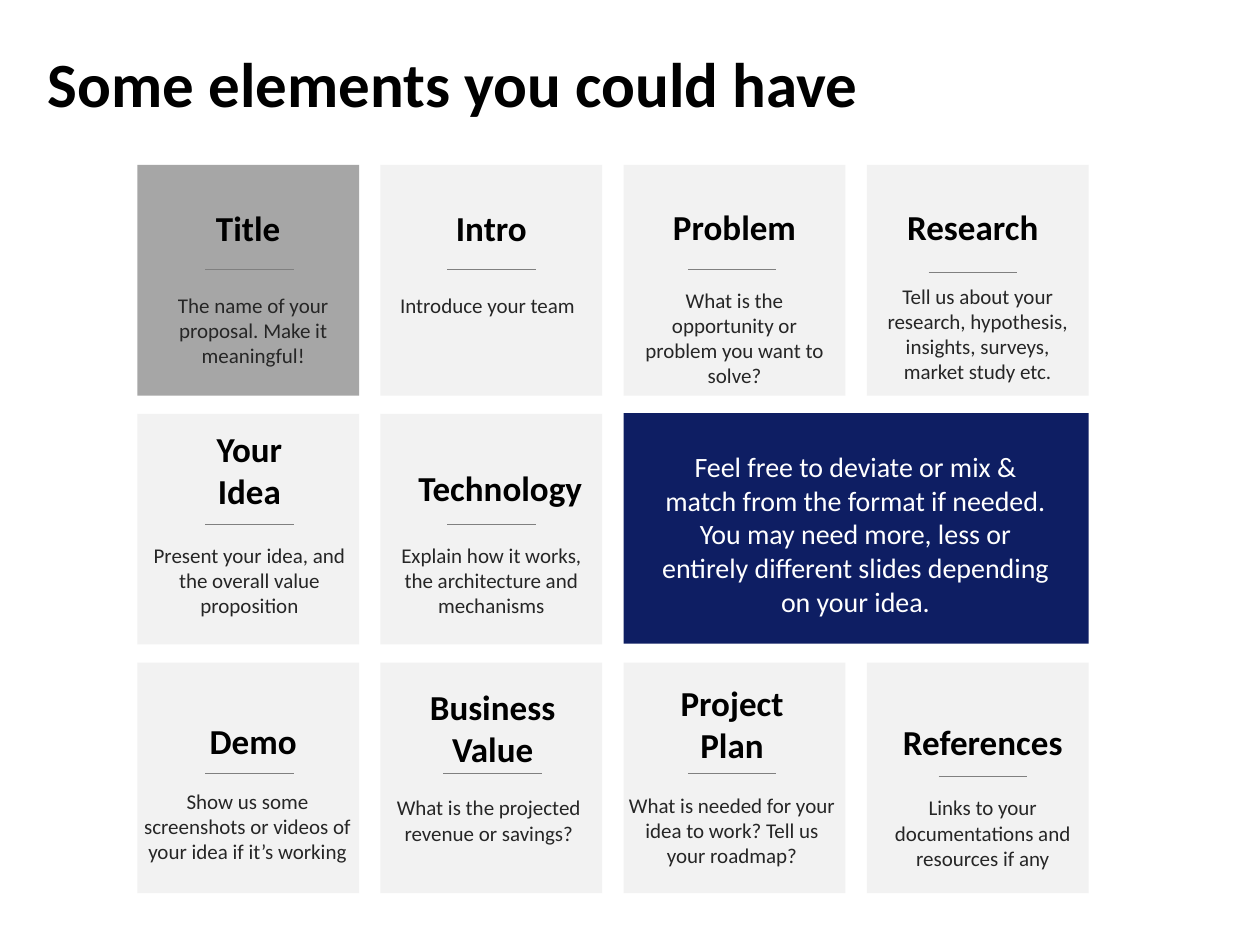
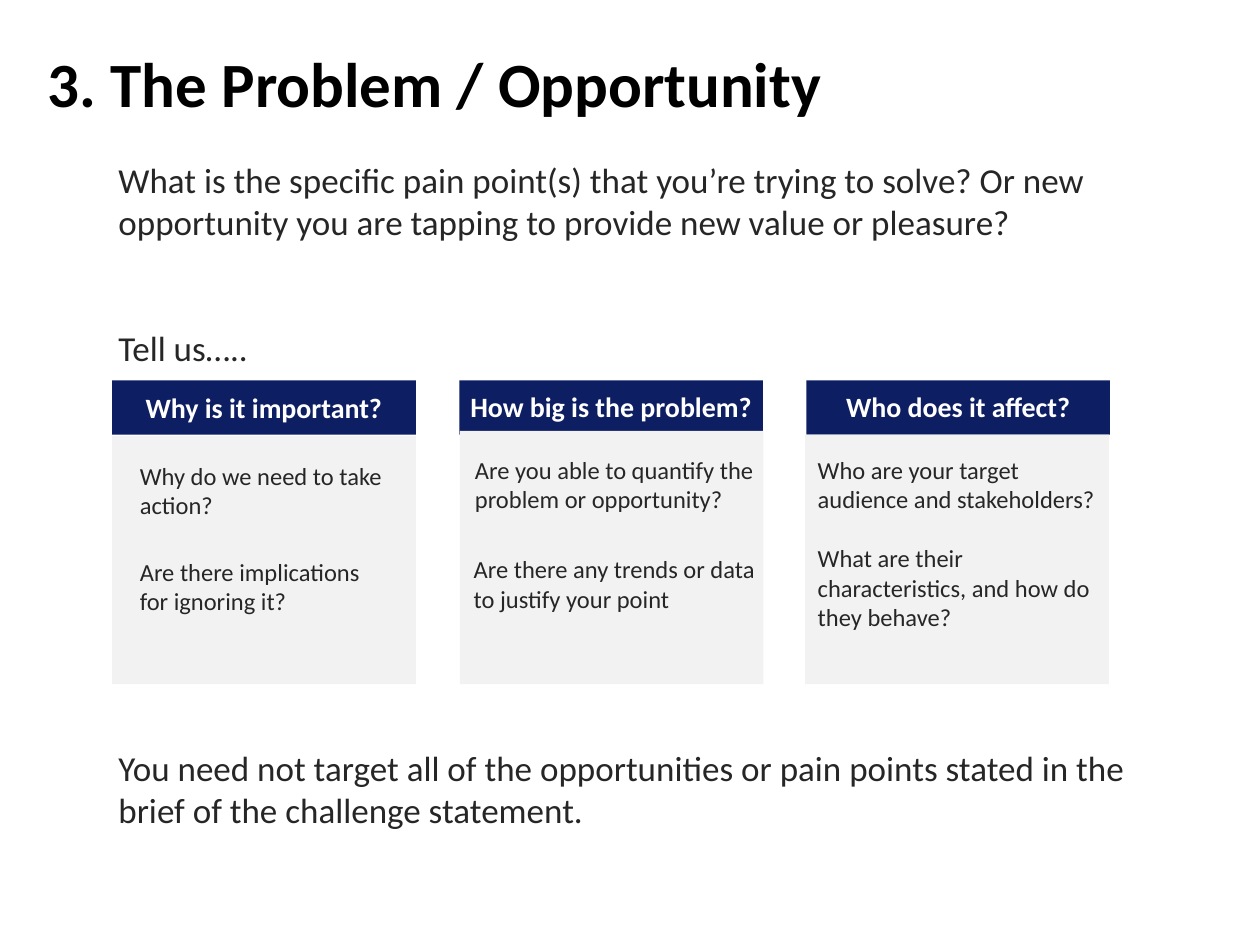
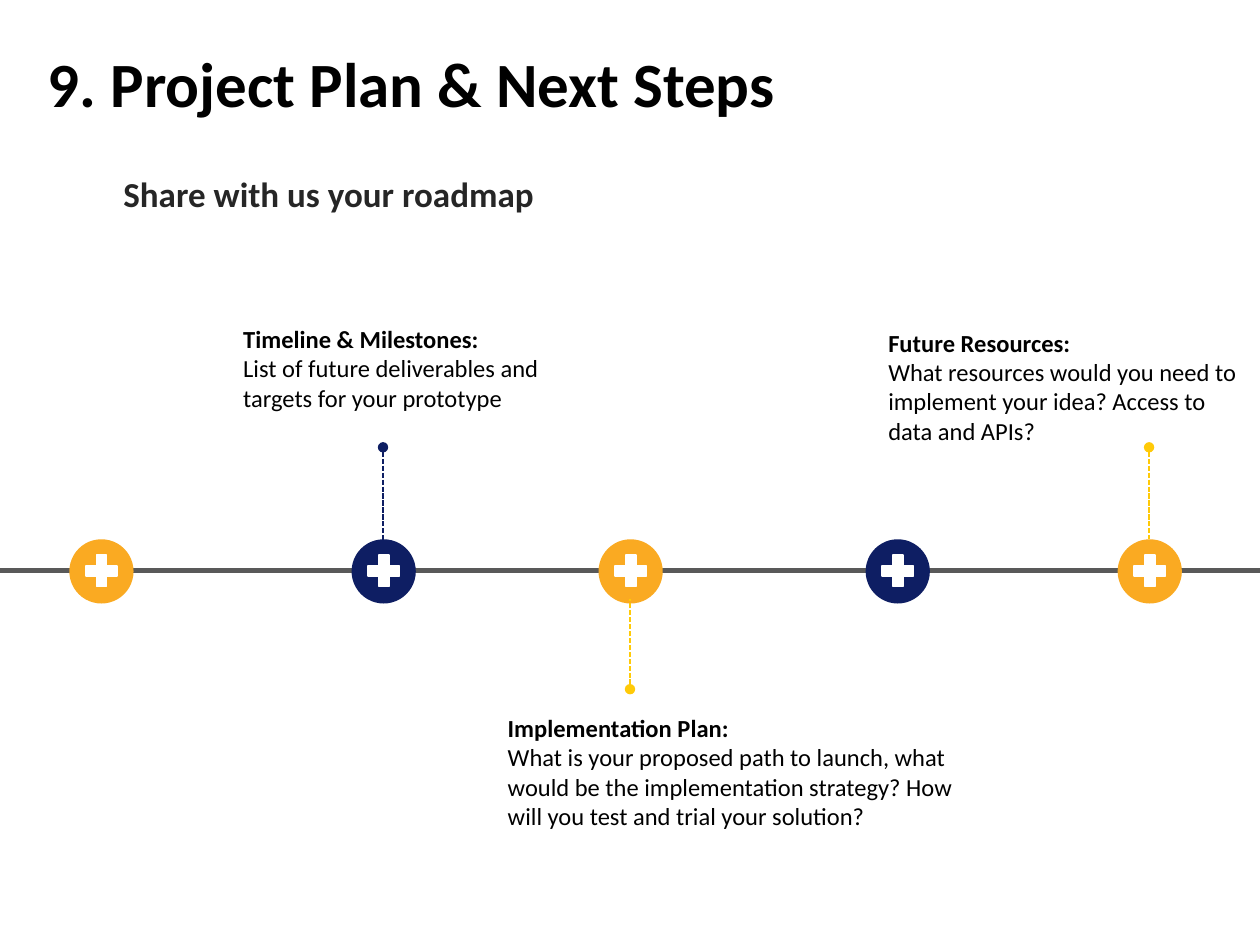
"""Build three proposal-guide slides: elements, problem and project plan."""
from lxml.etree import SubElement
from pptx import Presentation
from pptx.dml.color import RGBColor
from pptx.enum.dml import MSO_LINE
from pptx.enum.shapes import MSO_CONNECTOR, MSO_SHAPE
from pptx.enum.text import MSO_AUTO_SIZE, PP_ALIGN
from pptx.oxml.ns import qn
from pptx.util import Inches, Pt

FONT = "Calibri"
BLACK, WHITE, INK = "000000", "FFFFFF", "262626"
NAVY, ORANGE, YELLOW = "0E1E63", "FAAA22", "FFCA08"
PALE, SILVER, RULE, AXIS = "F2F2F2", "A6A6A6", "808080", "595959"

# column, row, heading, (centre, top), (rule left, top, width),
# description, (left, top, width, lines); offsets are from the card's corner
CARDS = [
    (0, 0, "Title", (0.88, 0.28), (0.54, 0.83, 0.7),
     "The name of your proposal. Make it meaningful!", (0.07, 0.96, 1.7, 3)),
    (1, 0, "Intro", (0.88, 0.28), (0.53, 0.83, 0.7),
     "Introduce your team", (0, 0.96, 1.7, 1)),
    (2, 0, "Problem", (0.88, 0.27), (0.51, 0.83, 0.7),
     "What is the opportunity or problem you want to solve?", (0.03, 0.92, 1.7, 4)),
    (3, 0, "Research", (0.84, 0.27), (0.49, 0.85, 0.7),
     "Tell us about your research, hypothesis, insights, surveys, market study etc.",
     (0.03, 0.89, 1.7, 4)),
    (0, 1, "Your\nIdea", (0.89, 0.06), (0.54, 0.88, 0.7),
     "Present your idea, and the overall value proposition", (0.04, 0.97, 1.7, 3)),
    (1, 1, "Technology", (0.95, 0.37), (0.53, 0.88, 0.7),
     "Explain how it works, the architecture and mechanisms", (0.03, 0.97, 1.7, 3)),
    (0, 2, "Demo", (0.92, 0.4), (0.54, 0.88, 0.7),
     "Show us some screenshots or videos of your idea if it’s working",
     (-0.01, 0.95, 1.77, 3)),
    (1, 2, "Business\nValue", (0.89, 0.13), (0.5, 0.88, 0.78),
     "What is the projected revenue or savings?", (0.01, 1, 1.7, 2)),
    (2, 2, "Project\nPlan", (0.86, 0.1), (0.51, 0.88, 0.7),
     "What is needed for your idea to work? Tell us your roadmap?",
     (-0.02, 0.98, 1.76, 3)),
    (3, 2, "References", (0.92, 0.41), (0.57, 0.9, 0.7),
     "Links to your documentations and resources if any", (0.07, 1, 1.7, 3)),
]
CALLOUT = ("Feel free to deviate or mix & match from the format if needed. "
           "You may need more, less or entirely different slides depending on your idea.")

PROBLEM_TEXT = [
    "What is the specific pain point(s) that you’re trying to solve? "
    "Or new opportunity you are tapping to provide new value or pleasure?",
    "Tell us…..",
    "You need not target all of the opportunities or pain points stated in the "
    "brief of the challenge statement.",
]
# heading, heading top, (panel left, top), notes as (text, left, top, width, lines)
PANELS = [
    ("Why is it important?", 3.05, (0.89, 3.46), [
        ("Why do we need to take action?", 1.06, 3.61, 2.25, 2),
        ("Are there implications for ignoring it?", 1.06, 4.37, 2.01, 2)]),
    ("How big is the problem?", 3.04, (3.65, 3.42), [
        ("Are you able to quantify the problem or opportunity?", 3.72, 3.56, 2.37, 2),
        ("Are there any trends or data to justify your point", 3.71, 4.35, 2.34, 2)]),
    ("Who does it affect?", 3.04, (6.39, 3.45), [
        ("Who are your target audience and stakeholders?\n"
         "What are their characteristics, and how do they behave?",
         6.44, 3.56, 2.37, 6)]),
]

MILESTONE_CENTRES = [0.8, 3.04, 5, 7.12, 9.12]
STEMS = [(3.04, 3.55, 4.37, NAVY), (9.12, 3.55, 4.28, YELLOW), (5, 5.47, 4.75, YELLOW)]
# heading, text, left, top, width, lines
STEPS = [
    ("Future Resources:",
     "What resources would you need to implement your idea? Access to data and APIs?",
     7, 2.55, 2.9, 4),
    ("Implementation Plan:",
     "What is your proposed path to launch, what would be the implementation strategy? "
     "How will you test and trial your solution?", 3.98, 5.61, 3.64, 4),
    ("Timeline & Milestones:",
     "List of future deliverables and targets for your prototype", 1.88, 2.52, 2.58, 3),
]


def color(hex_code):
    return RGBColor.from_string(hex_code)


def add_text(page, text, left, top, width, lines, size, ink=INK, bold=False, align=None):
    height = 0.1 + lines * size * 1.2 / 72
    box = page.shapes.add_textbox(Inches(left), Inches(top), Inches(width), Inches(height))
    frame = box.text_frame
    frame.word_wrap = True
    frame.auto_size = MSO_AUTO_SIZE.SHAPE_TO_FIT_TEXT
    frame.margin_left = frame.margin_right = Inches(0.05)
    frame.margin_top = frame.margin_bottom = Inches(0.05)
    frame.text = text
    for para in frame.paragraphs:
        para.alignment = align
        for span in para.runs:
            font = span.font
            font.name, font.size, font.bold = FONT, Pt(size), bold
            font.color.rgb = color(ink)
    return frame.paragraphs


def add_block(parent, kind, left, top, width, height, fill):
    block = parent.shapes.add_shape(kind, Inches(left), Inches(top),
                                    Inches(width), Inches(height))
    block.shadow.inherit = False
    block.fill.solid()
    block.fill.fore_color.rgb = color(fill)
    block.line.fill.background()
    return block


def add_line(page, start, end, ink, weight):
    line = page.shapes.add_connector(MSO_CONNECTOR.STRAIGHT,
                                     *(Inches(value) for value in (*start, *end)))
    line.line.color.rgb = color(ink)
    line.line.width = Pt(weight)
    SubElement(line._element.spPr, qn("a:effectLst"))
    return line


def add_page(deck, title):
    page = deck.slides.add_slide(deck.slide_layouts[6])
    para = add_text(page, title, 0.33, 0.37, 9.46, 0.9, 36, BLACK, True)[0]
    para.line_spacing = 0.9
    para.space_before = Pt(10)
    return page


def add_milestone(page, centre):
    fill = NAVY if MILESTONE_CENTRES.index(centre) % 2 else ORANGE
    group = page.shapes.add_group_shape()
    add_block(group, MSO_SHAPE.OVAL, centre - 0.25, 4.28, 0.51, 0.51, fill)
    for angle in (90, 180):
        bar = add_block(group, MSO_SHAPE.RECTANGLE, centre - 0.12, 4.49, 0.25, 0.08, WHITE)
        bar.rotation = angle
        bar.line.color.rgb = color(WHITE)
        bar.line.width = Pt(1)


def build_elements(deck):
    page = add_page(deck, "Some elements you could have")
    add_block(page, MSO_SHAPE.RECTANGLE, 4.95, 3.28, 3.69, 1.83, NAVY)
    add_text(page, CALLOUT, 5.17, 3.52, 3.24, 5, 16, WHITE, align=PP_ALIGN.CENTER)
    for column, row, heading, (centre, top), rule, description, place in CARDS:
        x, y = 1.09 + column * 1.93, 1.31 + row * 1.975
        fill = SILVER if heading == "Title" else PALE
        add_block(page, MSO_SHAPE.RECTANGLE, x, y, 1.76, 1.83, fill)
        add_text(page, heading, x + centre - 0.82, y + top, 1.64,
                 heading.count("\n") + 1, 20, BLACK, True, PP_ALIGN.CENTER)
        rule_left, rule_top, rule_width = rule
        add_line(page, (x + rule_left, y + rule_top),
                 (x + rule_left + rule_width, y + rule_top), RULE, 0.5)
        left, top, width, lines = place
        add_text(page, description, x + left, y + top, width, lines, 12,
                 align=PP_ALIGN.CENTER)


def build_problem(deck):
    page = add_page(deck, "3. The Problem / Opportunity")
    paras = add_text(page, "\n".join(PROBLEM_TEXT), 0.89, 1.21, 8.43, 17, 20)
    for para, gap in zip(paras[1:], (48, 216)):
        para.space_before = Pt(gap)
    for index, (heading, heading_top, (left, top), notes) in enumerate(PANELS):
        band_left = 0.89 + index * 2.755
        add_block(page, MSO_SHAPE.RECTANGLE, band_left, 3.02, 2.41, 0.43, NAVY)
        add_block(page, MSO_SHAPE.RECTANGLE, left, top, 2.41, 5.43 - top, PALE)
        add_text(page, heading, band_left - 0.08, heading_top, 2.57, 1, 16, WHITE, True,
                 PP_ALIGN.CENTER)
        for note in notes:
            for para in add_text(page, *note, 14)[1:]:
                para.space_before = Pt(17)


def build_plan(deck):
    page = add_page(deck, "9. Project Plan & Next Steps")
    add_text(page, "Share with us your roadmap", 0.93, 1.32, 9, 1, 20, bold=True)
    add_line(page, (10, 4.53), (0, 4.53), AXIS, 3)
    for centre in MILESTONE_CENTRES:
        add_milestone(page, centre)
    for x, start, end, ink in STEMS:
        stem = add_line(page, (x, start), (x, end), ink, 1)
        stem.line.dash_style = MSO_LINE.SQUARE_DOT
        SubElement(stem.line._get_or_add_ln(), qn("a:headEnd"), type="oval")
    for heading, text, *place in STEPS:
        paras = add_text(page, f"{heading}\n{text}", *place, 14, BLACK)
        paras[0].runs[0].font.bold = True


def main():
    deck = Presentation()
    deck.slide_width, deck.slide_height = Inches(10), Inches(7.5)
    build_elements(deck)
    build_problem(deck)
    build_plan(deck)
    deck.save("out.pptx")


if __name__ == "__main__":
    main()
